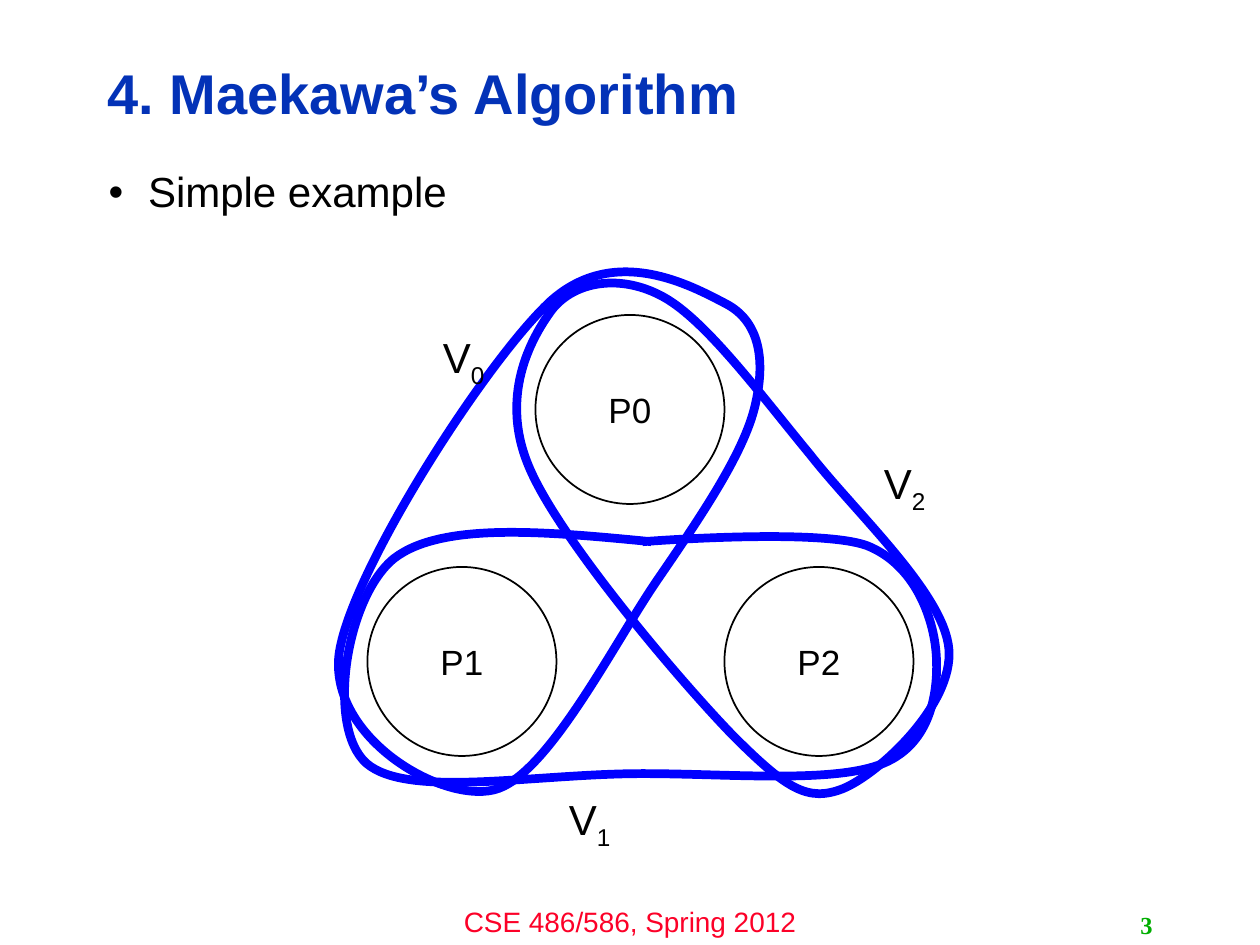
from pptx import Presentation
from pptx.dml.color import RGBColor
from pptx.enum import shapes, text
from pptx.oxml.ns import qn
from pptx.util import Pt

BLACK = RGBColor(0, 0, 0)
WHITE = RGBColor(255, 255, 255)
BLUE = RGBColor(0, 0, 255)
NAVY = RGBColor(0x03, 0x32, 0xB7)
RED = RGBColor(0xFC, 0x01, 0x28)
GREEN = RGBColor(0, 0xAE, 0)
LEFT, MID, RIGHT = text.PP_ALIGN.LEFT, text.PP_ALIGN.CENTER, text.PP_ALIGN.RIGHT
TOP, CENTER = text.MSO_ANCHOR.TOP, text.MSO_ANCHOR.MIDDLE

# wording, (left, top, width, height), size, colour, bold, font, align, anchor
TEXTS = {
    "footer": ("CSE 486/586, Spring 2012", (240, 513.5, 240, 26.5),
               16, RED, False, "Arial", MID, TOP),
    "title": ("4. Maekawa’s Algorithm", (54.25, 26, 574.5, 58.5),
              32, NAVY, True, "Arial", LEFT, CENTER),
    "body": ("Simple example", (55, 94.5, 605, 388),
             24, BLACK, False, "Arial", LEFT, TOP),
    "number": ("3", (516, 517, 149.75, 23),
               14, GREEN, True, "Times New Roman", RIGHT, CENTER),
}
NODES = [("P0", 306, 180), ("P1", 210, 324), ("P2", 414, 324)]
SIZE = 108
LABELS = [("0", 246, 186), ("1", 318, 450), ("2", 498, 258)]

# Voting sets: start point, then Bezier segments (two controls and an end)
SETS = [
    ((414.7, 173.5), [
        (395.3, 163.4, 351.4, 139, 314.6, 172.1),
        (277.9, 205.9, 199.4, 328.3, 193.7, 374.4),
        (188.6, 421.2, 251.3, 458.6, 282.2, 451.4),
        (312.5, 444.2, 350.6, 367.9, 375.8, 331.2),
        (401, 294.5, 424.8, 259.2, 431.3, 232.6),
        (437.8, 205.9, 434.2, 183.6, 414.7, 173.5)], True),
    ((372.2, 309.6), [
        (312.5, 303.8, 252.7, 298.1, 225.4, 319),
        (198, 340.6, 185.8, 415.4, 209.5, 436.3),
        (233.3, 456.5, 305.3, 442.1, 367.2, 442.1),
        (416.9, 442.1, 476.6, 447.8, 504.7, 436.3),
        (532.8, 424.8, 536.4, 393.8, 535, 373.7),
        (533.5, 352.8, 522.7, 322.6, 495.4, 311.8),
        (467.3, 301.7, 367.2, 309.6, 367.2, 309.6)], False),
    ((315.4, 177.1), [
        (328.3, 160.6, 355, 156.2, 379.4, 169.9),
        (403.9, 183.6, 435.6, 226.8, 463, 259.9),
        (489.6, 293.8, 539.3, 339.1, 542.2, 370.8),
        (545, 402.5, 502.6, 442.1, 481.7, 450.7),
        (461.5, 458.6, 449.3, 450.7, 419, 420.5),
        (389.5, 390.2, 319.7, 308.2, 302.4, 267.1),
        (285.1, 226.8, 303.1, 193.7, 315.4, 177.1)], True),
]


def style(run, size, color, font="Arial", bold=False):
    run.font.size, run.font.name, run.font.bold = Pt(size), font, bold
    run.font.color.rgb = color


def write(slide, words, box, size, color, bold, font, align, anchor):
    frame = slide.shapes.add_textbox(*map(Pt, box)).text_frame
    frame.word_wrap = True
    frame.vertical_anchor = anchor
    para = frame.paragraphs[0]
    para.text = words
    para.alignment = align
    style(para.runs[0], size, color, font, bold)
    return para


def add_bullet(para):
    props = para._p.get_or_add_pPr()
    props.set("marL", str(Pt(22.5)))
    props.set("indent", str(Pt(-22.5)))
    for tag, key, value in (("a:buFont", "typeface", "Arial"),
                            ("a:buChar", "char", "•")):
        props.insert_element_before(
            props.makeelement(qn(tag), {key: value}),
            "a:tabLst", "a:defRPr", "a:extLst")


def bend(shape):
    """Turn every three straight segments into one cubic Bezier curve."""
    lines = list(shape._element.iter(qn("a:lnTo")))
    for i in range(0, len(lines), 3):
        curve = lines[i].makeelement(qn("a:cubicBezTo"), {})
        lines[i].addprevious(curve)
        for line in lines[i:i + 3]:
            curve.append(line[0])
            line.getparent().remove(line)


def draw_set(slide, start, curves, close):
    path = slide.shapes.build_freeform(Pt(start[0]), Pt(start[1]), scale=1)
    points = [(Pt(curve[i]), Pt(curve[i + 1]))
              for curve in curves for i in (0, 2, 4)]
    path.add_line_segments(points, close=close)
    loop = path.convert_to_shape()
    bend(loop)
    loop.shadow.inherit = False
    loop.fill.background()
    loop.line.color.rgb = BLUE
    loop.line.width = Pt(5)


def draw_node(slide, name, left, top):
    node = slide.shapes.add_shape(
        shapes.MSO_SHAPE.OVAL, Pt(left), Pt(top), Pt(SIZE), Pt(SIZE))
    node.shadow.inherit = False
    node.fill.solid()
    node.fill.fore_color.rgb = WHITE
    node.line.color.rgb = BLACK
    node.line.width = Pt(1)
    node.text_frame.vertical_anchor = CENTER
    para = node.text_frame.paragraphs[0]
    para.text = name
    para.alignment = MID
    style(para.runs[0], 20, BLACK)


def main():
    deck = Presentation()
    deck.slide_width, deck.slide_height = Pt(720), Pt(540)
    slide = deck.slides.add_slide(deck.slide_layouts[6])

    paras = {key: write(slide, *item) for key, item in TEXTS.items()}
    add_bullet(paras["body"])
    for key in ("title", "body"):
        paras[key].line_spacing = 0.9

    for node in NODES:
        draw_node(slide, *node)
    for loop in SETS:
        draw_set(slide, *loop)
    for index, left, top in LABELS:
        para = write(slide, "V", (left, top, 60, 36),
                     24, BLACK, False, "Arial", LEFT, TOP)
        sub = para.add_run()
        sub.text = index
        style(sub, 24, BLACK)
        sub.font._element.set("baseline", "-25000")

    deck.save("out.pptx")


if __name__ == "__main__":
    main()
